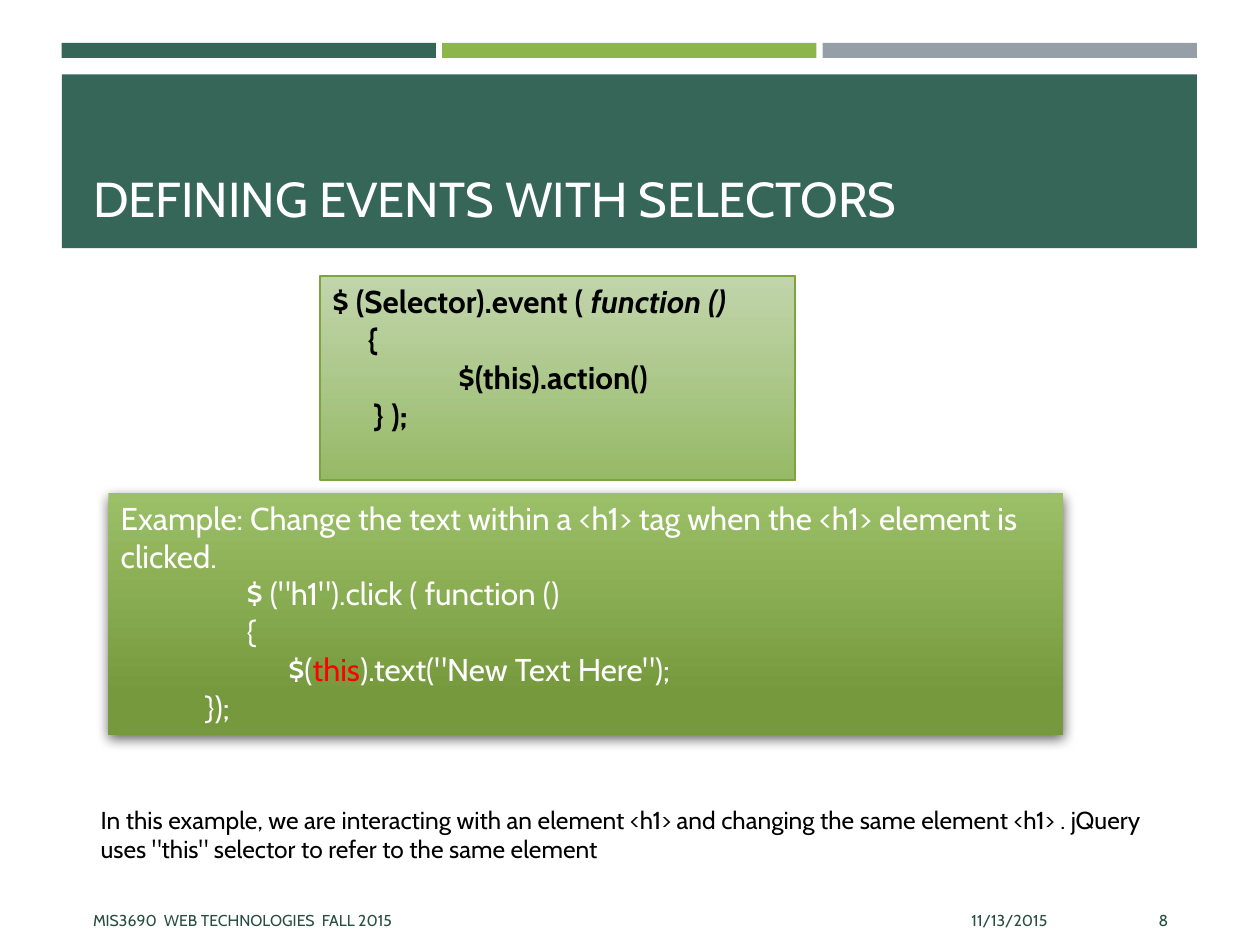
from dataclasses import dataclass
from typing import Optional

from lxml import etree
from pptx import Presentation
from pptx import util as u
from pptx.dml.color import RGBColor
from pptx.enum import shapes, text
from pptx.oxml import ns

FONT = "Cabin"
COLORS = {
    "green": "366658", "lime": "8CB64A", "gray": "969FA7", "footer": "284D42",
    "white": "FFFFFF", "black": "000000", "red": "FF0000", "border": "7EA442",
    "syntax_top": "BBD1A3", "syntax_bottom": "96BA66",
    "example_top": "9CC067", "example_bottom": "76993E",
}
LEFT, RIGHT = text.PP_ALIGN.LEFT, text.PP_ALIGN.RIGHT
TOP, MIDDLE, BOTTOM = (text.MSO_ANCHOR.TOP, text.MSO_ANCHOR.MIDDLE,
                       text.MSO_ANCHOR.BOTTOM)


@dataclass
class Run:
    """A piece of text; an empty color means the block color."""
    words: str
    color: str = ""
    italic: bool = False


@dataclass
class Line:
    """A paragraph with its left indent in inches."""
    runs: list[Run]
    indent: float = 0


@dataclass
class Block:
    """Text with a place and a common style."""
    box: tuple[float, float, float, float]
    lines: list[Line]
    size: float
    color: str
    bold: bool = False
    align: text.PP_ALIGN = LEFT
    anchor: text.MSO_ANCHOR = TOP


@dataclass
class Panel:
    """A gradient rectangle that holds a block of text."""
    block: Block
    top: str
    bottom: str
    end: float = 1
    top_alpha: int = 100
    border: Optional[str] = None
    shadow: bool = False


def rgb(name: str) -> RGBColor:
    """Return the named color."""
    return RGBColor.from_string(COLORS[name])


def add_child(parent, tag: str, **attributes: str):
    """Append a DrawingML element."""
    return etree.SubElement(parent, ns.qn(tag), attributes)


def add_rectangle(slide, box: tuple[float, float, float, float]):
    """Add a rectangle without shadow or outline."""
    shape = slide.shapes.add_shape(shapes.MSO_SHAPE.RECTANGLE,
                                   *map(u.Inches, box))
    shape.shadow.inherit = False
    shape.line.fill.background()
    return shape


def add_bar(slide, box: tuple[float, float, float, float], color: str) -> None:
    """Add a plain colored rectangle."""
    shape = add_rectangle(slide, box)
    shape.fill.solid()
    shape.fill.fore_color.rgb = rgb(color)


def write_block(shape, block: Block) -> None:
    """Write the lines of a block into a shape."""
    frame = shape.text_frame
    frame.word_wrap = True
    frame.vertical_anchor = block.anchor
    for index, line in enumerate(block.lines):
        paragraph = frame.add_paragraph() if index else frame.paragraphs[0]
        paragraph.alignment = block.align
        if line.indent:
            properties = paragraph._p.get_or_add_pPr()
            properties.set("marL", str(u.Inches(line.indent)))
            properties.set("indent", "0")
        for item in line.runs:
            run = paragraph.add_run()
            run.text = item.words
            run.font.name = FONT
            run.font.size = u.Pt(block.size)
            run.font.bold = block.bold
            run.font.italic = item.italic
            run.font.color.rgb = rgb(item.color or block.color)


def add_text(slide, block: Block) -> None:
    """Add a text box."""
    write_block(slide.shapes.add_textbox(*map(u.Inches, block.box)), block)


def add_panel(slide, panel: Panel) -> None:
    """Add a gradient panel with its text."""
    shape = add_rectangle(slide, panel.block.box)
    shape.fill.gradient()
    shape.fill.gradient_angle = 270
    first, last = shape.fill.gradient_stops
    first.color.rgb, first.position = rgb(panel.top), 0
    last.color.rgb, last.position = rgb(panel.bottom), panel.end
    if panel.top_alpha < 100:
        color = shape._element.spPr.find(".//" + ns.qn("a:srgbClr"))
        add_child(color, "a:alpha", val=str(panel.top_alpha * 1000))
    if panel.border:
        shape.line.color.rgb = rgb(panel.border)
        shape.line.width = u.Pt(1)
    if panel.shadow:
        effects = shape._element.spPr.find(ns.qn("a:effectLst"))
        shadow = add_child(effects, "a:outerShdw", blurRad=str(u.Pt(7)),
                           dist=str(u.Pt(3)), dir=str(84 * 60000),
                           algn="tl", rotWithShape="0")
        color = add_child(shadow, "a:srgbClr", val=COLORS["black"])
        add_child(color, "a:alpha", val="60000")
    write_block(shape, panel.block)


def single(words: str) -> list[Line]:
    """Return one unindented line."""
    return [Line([Run(words)])]


SYNTAX = Block((2.54, 2.19, 3.77, 1.62), [
    Line([Run("$ (Selector).event ( "), Run("function ()", italic=True)]),
    Line([Run("{")], 0.28),
    Line([Run("$(this).action()")], 1),
    Line([Run("} );")], 0.33),
], 18, "black", bold=True)

EXAMPLE = Block((0.86, 3.91, 7.58, 1.92), [
    Line([Run("Example: Change the text within a <h1> tag when the <h1> "
              "element is clicked.")]),
    Line([Run('$ ("h1").click ( function ()')], 1),
    Line([Run("{")], 1),
    Line([Run("$("), Run("this", "red"), Run(').text("New Text Here");')], 1.33),
    Line([Run("});")], 0.67),
], 18, "white")

PANELS = [
    Panel(SYNTAX, "syntax_top", "syntax_bottom", top_alpha=90, border="border"),
    Panel(EXAMPLE, "example_top", "example_bottom", end=0.84, shadow=True),
]

TEXTS = [
    Block((0.64, 0.67, 8.74, 1.18), single("DEFINING EVENTS WITH SELECTORS"),
          28, "white", anchor=BOTTOM),
    Block((0.7, 6.34, 8.75, 0.57), single(
        "In this example, we are interacting with an element <h1> and changing "
        'the same element <h1> . jQuery uses "this" selector to refer to the '
        "same element"), 14, "black"),
]
FOOTERS = [
    (0.64, 5.33, "MIS3690  WEB TECHNOLOGIES  FALL 2015", LEFT),
    (6.08, 2.33, "11/13/2015", RIGHT),
    (8.53, 0.84, "8", RIGHT),
]


def main() -> None:
    """Build and save the slide."""
    presentation = Presentation()
    presentation.slide_width = u.Inches(10)
    presentation.slide_height = u.Inches(7.5)
    slide = presentation.slides.add_slide(presentation.slide_layouts[6])
    for index, color in enumerate(("green", "lime", "gray")):
        add_bar(slide, (0.49 + index * 3.02, 0.34, 2.97, 0.12), color)
    add_bar(slide, (0.49, 0.59, 9.01, 1.38), "green")
    for panel in PANELS:
        add_panel(slide, panel)
    for block in TEXTS:
        add_text(slide, block)
    for left, width, words, align in FOOTERS:
        add_text(slide, Block((left, 7.1, width, 0.4), single(words), 9,
                              "footer", align=align, anchor=MIDDLE))
    presentation.save("out.pptx")


main()
